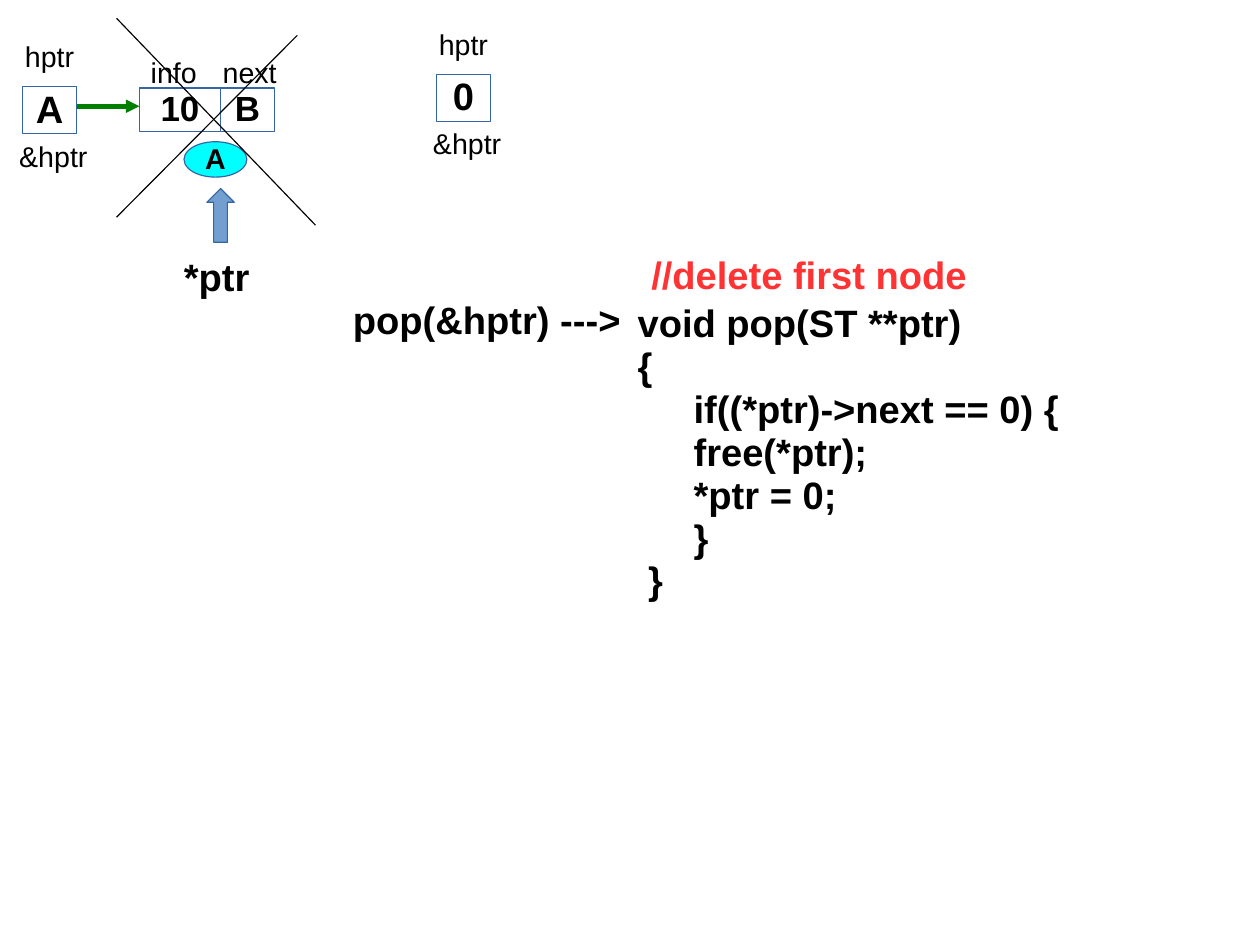
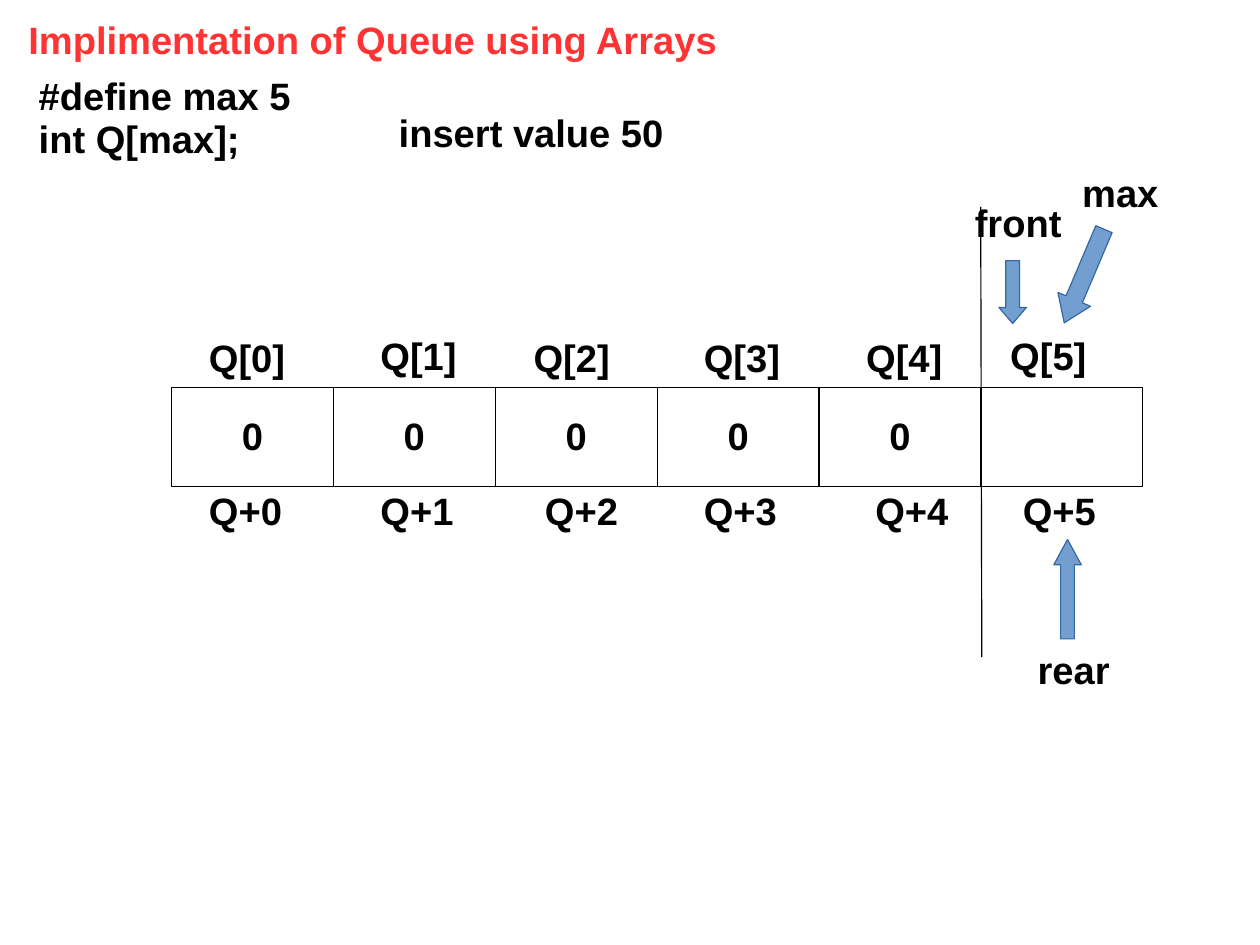
from lxml import etree
from pptx import Presentation
from pptx.dml.color import RGBColor
from pptx.enum import shapes, text
from pptx.oxml import ns
from pptx.util import Inches, Pt

BLACK = RGBColor(0, 0, 0)
WHITE = RGBColor(255, 255, 255)
RED = RGBColor(0xFF, 0x33, 0x33)
GREEN = RGBColor(0, 0x80, 0)
CYAN = RGBColor(0, 0xFF, 0xFF)
BLUE = RGBColor(0x72, 0x9F, 0xCF)
NAVY = RGBColor(0x34, 0x65, 0xA4)
FONT = "Arial"
CM_PER_INCH = 2.54
TAB_STOP = Inches(0.49)
RECT = shapes.MSO_SHAPE.RECTANGLE
OVAL = shapes.MSO_SHAPE.OVAL
UP = shapes.MSO_SHAPE.UP_ARROW
DOWN = shapes.MSO_SHAPE.DOWN_ARROW


def write(box, content, size, bold, color, align):
    frame = box.text_frame
    frame.text = content
    for para in frame.paragraphs:
        para.alignment = align
        para.line_spacing = 0.94
        if para.text.startswith("\t"):
            tabs = etree.SubElement(para._p.get_or_add_pPr(), ns.qn("a:tabLst"))
            etree.SubElement(tabs, ns.qn("a:tab"), pos=str(TAB_STOP), algn="l")
        for span in para.runs:
            span.font.name = FONT
            span.font.size = Pt(size)
            span.font.bold = bold
            span.font.color.rgb = color


def put(page, at, content="", kind=None, size=24, bold=True, color=BLACK,
        fill=WHITE, line=NAVY):
    """Add a text box, or a filled shape with centred text if a kind is given."""
    area = [Inches(length) for length in at]
    if kind is None:
        box = page.shapes.add_textbox(*area)
        align = text.PP_ALIGN.LEFT
    else:
        box = page.shapes.add_shape(kind, *area)
        box.shadow.inherit = False
        box.fill.solid()
        box.fill.fore_color.rgb = fill
        box.line.color.rgb = line
        box.line.width = Pt(0.75)
        box.text_frame.vertical_anchor = text.MSO_ANCHOR.MIDDLE
        align = text.PP_ALIGN.CENTER
    box.text_frame.word_wrap = kind is None
    if content:
        write(box, content, size, bold, color, align)
    return box


deck = Presentation()
deck.slide_width = Inches(28 / CM_PER_INCH)
deck.slide_height = Inches(21 / CM_PER_INCH)
pop_page, queue_page = [deck.slides.add_slide(deck.slide_layouts[6]) for _ in range(2)]

# Deleting the first node
put(pop_page, (2.99, 2.58, 2.76, 0.5), "pop(&hptr) --->")
put(pop_page, (5.48, 2.6, 3.92, 2.76), """void pop(ST **ptr)
{
\tif((*ptr)->next == 0) {
\tfree(*ptr);
\t*ptr = 0;
\t}
 }""")
put(pop_page, (5.6, 2.18, 3, 0.5), "//delete first node", color=RED)
put(pop_page, (1.51, 2.2, 0.8, 0.5), "*ptr")

# Head pointer before and after
for left, top, value in [(0.2, 0.76, "A"), (3.82, 0.65, "0")]:
    put(pop_page, (left, top, 0.47, 0.41), value, RECT)
    put(pop_page, (left - 0.08, top - 0.44, 0.71, 0.4), "hptr", size=18, bold=False)
    put(pop_page, (left - 0.13, top + 0.43, 0.8, 0.4), "&hptr", size=18, bold=False)

# Node with its address
put(pop_page, (1.61, 1.24, 0.55, 0.31), "A", OVAL, size=18, fill=CYAN)
put(pop_page, (1.22, 0.77, 0.71, 0.38), "10", RECT, size=22)
put(pop_page, (1.93, 0.77, 0.47, 0.38), "B", RECT, size=22)
put(pop_page, (1.22, 0.46, 0.76, 0.4), "info", size=18, bold=False)
put(pop_page, (1.85, 0.46, 0.7, 0.4), "next", size=18, bold=False)

# Queue in an array
put(queue_page, (0.15, 0.13, 6.26, 0.5), "Implimentation of Queue using Arrays", color=RED)
put(queue_page, (0.24, 0.62, 2.45, 0.87), "#define max 5\nint Q[max];")
put(queue_page, (3.39, 0.94, 2.55, 0.5), "insert value 50")

CELL_WIDTH = 8.5 / 6
index_spots = [(1.73, 2.91), (3.23, 2.89), (4.57, 2.91), (6.06, 2.91), (7.48, 2.91), (8.74, 2.89)]
address_lefts = [1.73, 3.23, 4.67, 6.06, 7.56, 8.85]
for index, ((index_left, index_top), address_left) in enumerate(zip(index_spots, address_lefts)):
    value = "0" if index < 5 else ""
    put(queue_page, (1.5 + index * CELL_WIDTH, 3.39, CELL_WIDTH, 0.87), value, RECT, line=BLACK)
    put(queue_page, (index_left, index_top, 0.9, 0.5), f"Q[{index}]")
    put(queue_page, (address_left, 4.25, 0.87, 0.5), f"Q+{index}")

for name, at in [("front", (8.43, 1.73, 0.99, 0.5)),
                 ("max", (9.37, 1.47, 0.9, 0.5)),
                 ("rear", (8.98, 5.64, 0.86, 0.5))]:
    put(queue_page, at, name)

# Block arrows on both slides
for page, kind, at, head, angle in [
    (pop_page, UP, (1.81, 1.65, 0.24, 0.47), 0.5, 0),
    (queue_page, DOWN, (8.74, 2.28, 0.24, 0.55), 0.58, 0),
    (queue_page, UP, (9.22, 4.72, 0.24, 0.87), 0.92, 0),
    (queue_page, DOWN, (9.33, 1.97, 0.31, 0.89), 0.72, 23),
]:
    arrow = put(page, at, kind=kind, fill=BLUE)
    arrow.adjustments[1] = head
    arrow.rotation = angle

# Pointer, crossing-out strokes and the end of the array
for page, ends, color, width in [
    (pop_page, (0.67, 0.93, 1.22, 0.93), GREEN, 2.83),
    (pop_page, (1.02, 0.16, 2.76, 1.97), BLACK, 0.75),
    (pop_page, (1.02, 1.9, 2.6, 0.31), BLACK, 0.75),
    (queue_page, (8.58, 1.81, 8.59, 5.75), BLACK, 0.75),
]:
    stroke = page.shapes.add_connector(
        shapes.MSO_CONNECTOR.STRAIGHT, *[Inches(length) for length in ends])
    stroke.line.color.rgb = color
    stroke.line.width = Pt(width)
    if color == GREEN:
        etree.SubElement(stroke.line._get_or_add_ln(), ns.qn("a:tailEnd"), type="triangle")
    etree.SubElement(stroke._element.spPr, ns.qn("a:effectLst"))

deck.save("out.pptx")
